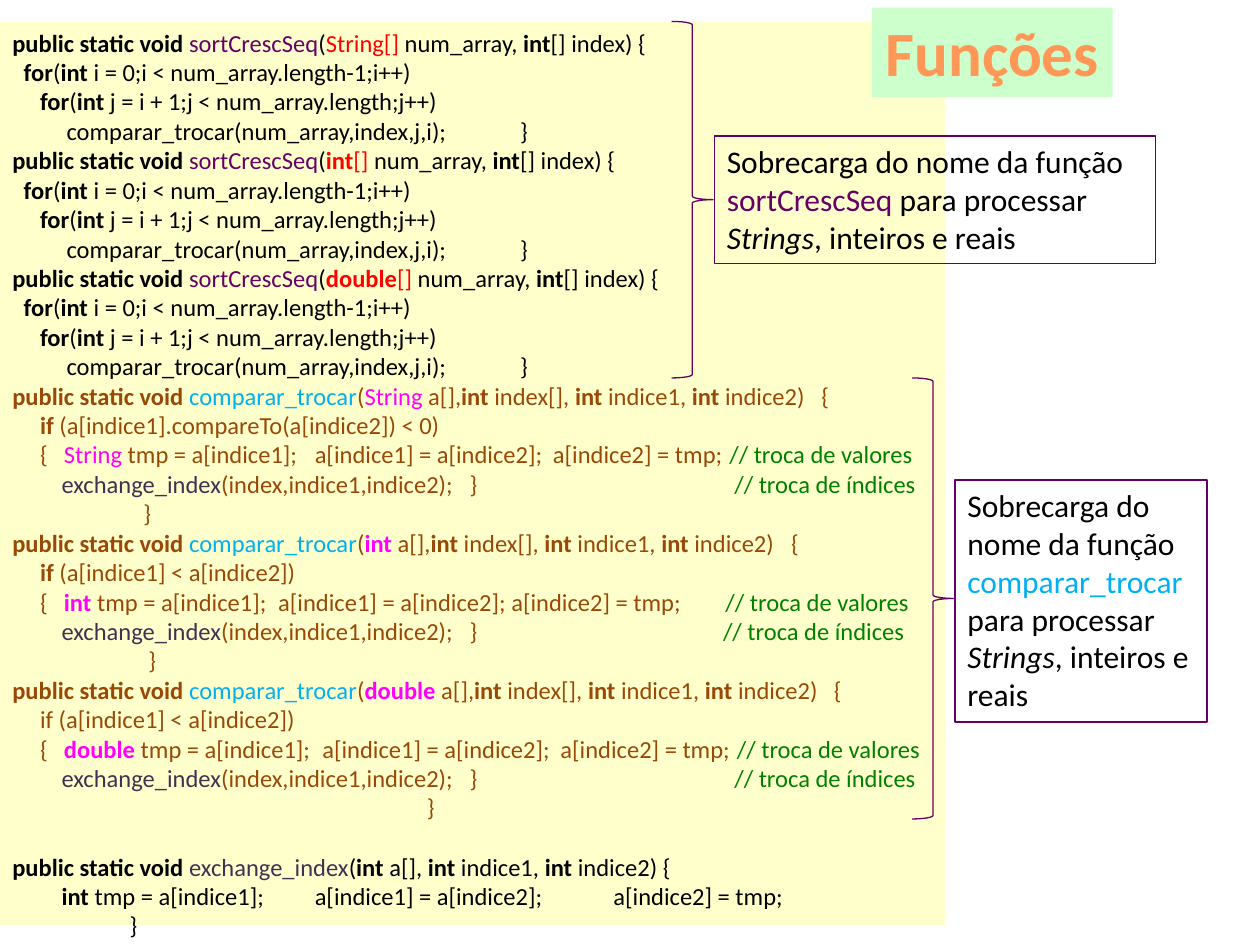
"""Build a slide of overloaded Java functions with braces and notes."""
from lxml.etree import SubElement as Sub
from pptx import Presentation
from pptx.dml.color import RGBColor
from pptx.enum.shapes import MSO_SHAPE as Kind
from pptx.enum.text import MSO_ANCHOR as Anchor, PP_ALIGN as Align
from pptx.oxml.ns import qn
from pptx.util import Inches, Pt

BLACK, BROWN, PLUM = "000000", "984807", "660066"
LOOK = {
    "n": {},
    "b": {"bold": True},
    "i": {"italic": True},
    "s": {"color": PLUM},
    "c": {"color": "00B0F0"},
    "x": {"color": "403152"},
    "g": {"color": "008000"},
    "r": {"color": "FF0000"},
    "R": {"color": "FF0000", "bold": True},
    "m": {"color": "FF00FF"},
    "M": {"color": "FF00FF", "bold": True},
    "t": {"color": "FF9856", "bold": True},
}

SORTS = ["rString[] ", "Rint|r[] ", "Rdouble|r[] "]
SORT = [
    ("bpublic static void |ssortCrescSeq|n(|{kind}|nnum_array, |bint|n[] index) {{", []),
    ("n\t|bfor|n(|bint |ni = 0;i < num_array.length-1;i++)", [0.09]),
    ("n\t|bfor|n(|bint|n j = i + 1;j < num_array.length;j++)", [0.22]),
    ("n\tcomparar_trocar(num_array,index,j,i);\t}}", [0.43, 4.03]),
]

SWAPS = [
    {"kind": "mString", "test": "bif|n (a[indice1].compareTo(a[indice2]) < 0)",
     "open": 6.42, "moves": [2.4, 4.29], "notes": [5.69, 5.73], "end": 1.04},
    {"kind": "Mint", "test": "bif|n (a[indice1] < a[indice2])",
     "open": 6.18, "moves": [2.11, 3.96], "notes": [5.66, 5.64], "end": 1.08},
    {"kind": "Mdouble", "test": "nif (a[indice1] < a[indice2])",
     "open": 6.52, "moves": [2.46, 4.35], "notes": [5.75, 5.73], "end": 3.29},
]

LAST = [
    ("bpublic static void |xexchange_index|n(|bint|n a[], |bint|n indice1, |bint|n indice2) {", []),
    ("n\t|bint |ntmp = a[indice1];\ta[indice1] = a[indice2];\ta[indice2] = tmp;", [0.39, 2.4, 4.77]),
    ("n\t}", [0.93]),
]

NOTE = "nSobrecarga do nome da função |{name}|n para processar |iStrings|n, inteiros e reais"
GROUPS = [
    ("ssortCrescSeq", (5.33, 0.17, 0.33, 2.83), (5.67, 1.08, 3.5, 1.01)),
    ("ccomparar_trocar", (7.24, 3, 0.33, 3.5), (7.58, 3.81, 2, 1.92)),
]


def rgb(code):
    """Turn a hex string into a colour."""
    return RGBColor.from_string(code)


def swap(kind, test, open, moves, notes, end):
    """Return the lines of one comparar_trocar function."""
    return [
        (f"bpublic static void |ccomparar_trocar|n(|{kind}|n a[],|bint|n index[], "
         "|bint|n indice1, |bint|n indice2)\t{", [open]),
        (f"n\t|{test}", [0.22]),
        (f"n\t{{\t|{kind} |ntmp = a[indice1];\ta[indice1] = a[indice2];"
         "\ta[indice2] = tmp;\t|g// troca de valores", [0.22, 0.41, *moves, notes[0]]),
        ("n\t|xexchange_index|n(index,indice1,indice2);\t}\t|g// troca de índices",
         [0.39, 3.63, notes[1]]),
        ("n\t}", [end]),
    ]


def shape(kind, spot, fill=None, line=None):
    """Add a plain shape."""
    item = slide.shapes.add_shape(kind, *map(Inches, spot))
    item.shadow.inherit = False
    for part, code in ((item.fill, fill), (item.line.fill, line)):
        if code:
            part.solid()
            part.fore_color.rgb = rgb(code)
        else:
            part.background()
    if line:
        item.line.width = Pt(0.75)
    return item


def write(para, text, size, base=BLACK, tabs=(), align=Align.LEFT, gap=0):
    """Write marked runs into a paragraph."""
    para.alignment = align
    if gap:
        para.space_before = Pt(gap)
    if tabs:
        stops = Sub(para._p.get_or_add_pPr(), qn("a:tabLst"))
        for stop in tabs:
            Sub(stops, qn("a:tab"), pos=str(Inches(stop)), algn="l")
    for bit in text.split("|"):
        run = para.add_run()
        run.text = bit[1:]
        form = {"name": "Calibri", "size": Pt(size), "bold": False, "color": base} | LOOK[bit[0]]
        run.font.color.rgb = rgb(form.pop("color"))
        for key, val in form.items():
            setattr(run.font, key, val)


def frame(item, wrap=True):
    """Return the text frame, set to the top."""
    body = item.text_frame
    body.word_wrap = wrap
    body.vertical_anchor = Anchor.TOP
    return body


deck = Presentation()
deck.slide_width, deck.slide_height = Inches(10), Inches(7.5)
slide = deck.slides.add_slide(deck.slide_layouts[6])

rows = [(text.format(kind=kind), tabs, BLACK, 0) for kind in SORTS for text, tabs in SORT]
rows += [(text, tabs, BROWN, 0) for item in SWAPS for text, tabs in swap(**item)]
rows += [(text, tabs, BLACK, 0 if n else 17) for n, (text, tabs) in enumerate(LAST)]
code = frame(shape(Kind.RECTANGLE, (0, 0.17, 7.5, 7.17), "FFFFCC"))
for n, (text, tabs, base, gap) in enumerate(rows):
    para = code.add_paragraph() if n else code.paragraphs[0]
    write(para, text, 14, base, tabs, gap=gap)

for name, brace, box in GROUPS:
    shape(Kind.RIGHT_BRACE, brace, line=PLUM)
    note = frame(shape(Kind.RECTANGLE, box, line=PLUM))
    write(note.paragraphs[0], NOTE.format(name=name), 18)

title = frame(shape(Kind.RECTANGLE, (6.92, 0.06, 1.91, 0.71), "CCFFCC"), False)
write(title.paragraphs[0], "tFunções", 36, align=Align.CENTER)

deck.save("out.pptx")
